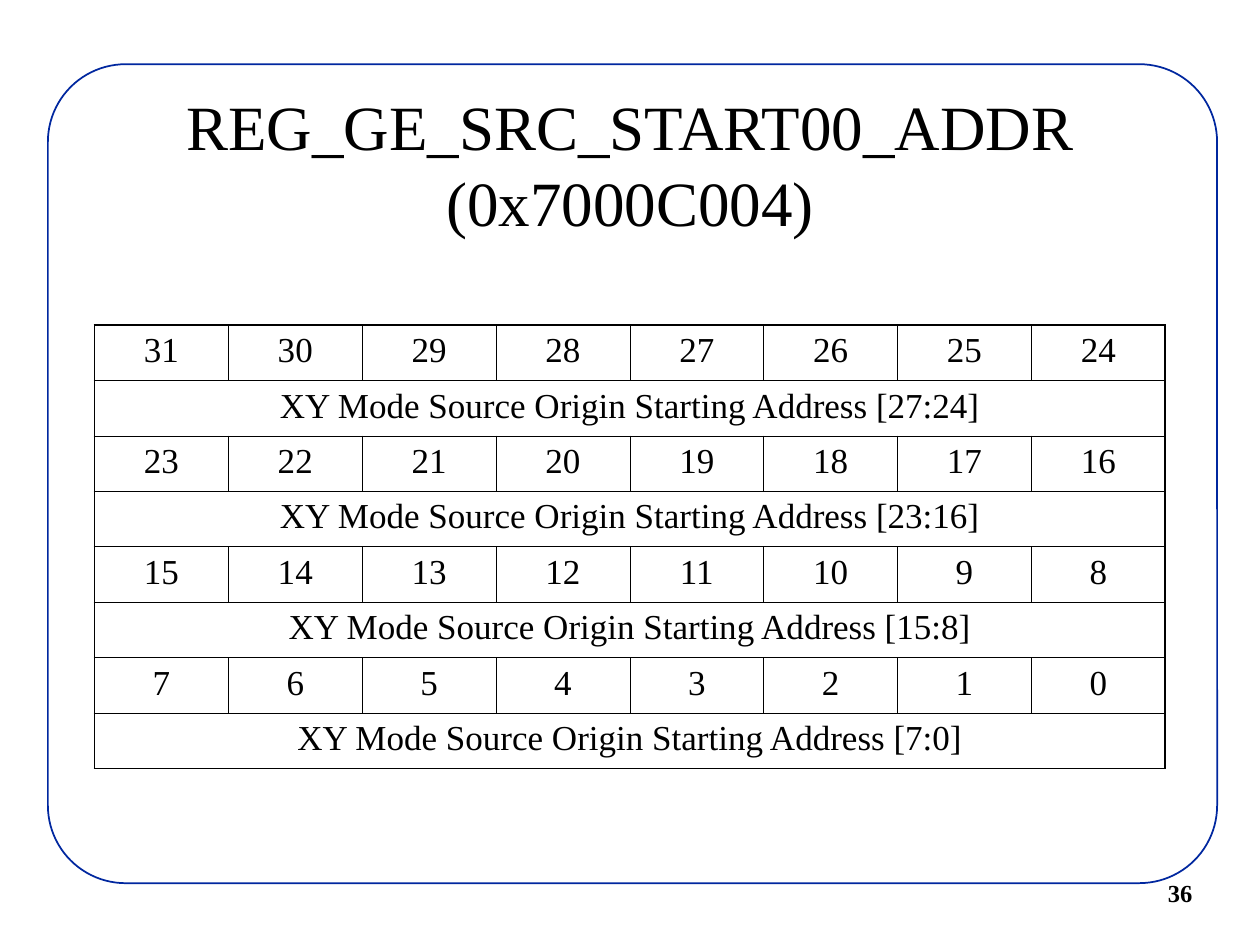
from lxml.etree import SubElement
from pptx import Presentation
from pptx.dml.color import RGBColor
from pptx.enum.shapes import MSO_SHAPE as SHAPE
from pptx.enum.text import MSO_ANCHOR as ANCHOR, PP_ALIGN as ALIGN
from pptx.oxml.ns import qn
from pptx.util import Inches, Pt

WIDTH, HEIGHT = 10, 7.5
COLS, BYTES = 8, 4
ROW_HEIGHT = 0.44
MARGIN = 0.75
INNER, OUTER = 0.45, 1.08
FIELD = "XY Mode Source Origin Starting Address"
RANGES = ["[27:24]", "[23:16]", "[15:8]", "[7:0]"]


def paint(color, value):
    """Set a colour format from a hex string."""
    color.rgb = RGBColor.from_string(value)


def write(tf, text, size=20, bold=False, color="000000", align=ALIGN.CENTER):
    """Put formatted text in the first paragraph of a text frame."""
    p = tf.paragraphs[0]
    p.text = text
    p.alignment = align
    for r in p.runs:
        r.font.name = "Times New Roman"
        r.font.size = Pt(size)
        r.font.bold = bold
        paint(r.font.color, color)


def add_frame(slide):
    """Draw the rounded frame around the slide content."""
    sp = slide.shapes.add_shape(
        SHAPE.ROUNDED_RECTANGLE, Inches(0.38), Inches(0.51), Inches(9.28), Inches(6.5))
    sp.adjustments[0] = 0.095
    sp.shadow.inherit = False
    sp.fill.solid()
    paint(sp.fill.fore_color, "FFFFFF")
    paint(sp.line.color, "00279F")
    sp.line.width = Pt(1)


def add_text(slide, text, left, top, width, height, wrap=True, **style):
    """Add a vertically centred text box."""
    box = slide.shapes.add_textbox(*map(Inches, (left, top, width, height)))
    tf = box.text_frame
    tf.word_wrap = wrap
    tf.vertical_anchor = ANCHOR.MIDDLE
    write(tf, text, **style)


def set_borders(cell, **widths):
    """Give a cell solid black borders with widths in points by side."""
    tc_pr = cell._tc.get_or_add_tcPr()
    for side, width in widths.items():
        ln = SubElement(tc_pr, qn(f"a:ln{side}"), w=str(Pt(width)))
        SubElement(SubElement(ln, qn("a:solidFill")), qn("a:srgbClr"), val="000000")


def fill_cell(cell, text, row, first, last):
    """Write a cell and draw heavier borders on the table's outside."""
    write(cell.text_frame, text)
    set_borders(
        cell,
        L=OUTER if first == 0 else INNER,
        R=OUTER if last == COLS - 1 else INNER,
        T=OUTER if row == 0 else INNER,
        B=OUTER if row == 2 * BYTES - 1 else INNER)
    cell.fill.background()


def add_register_table(slide):
    """Add the bit numbers, each byte followed by its field name."""
    rows = 2 * BYTES
    table = slide.shapes.add_table(
        rows, COLS, Inches(MARGIN), Inches(2.58),
        Inches(WIDTH - 2 * MARGIN), Inches(rows * ROW_HEIGHT)).table
    table.first_row = table.horz_banding = False
    for byte, bits in enumerate(RANGES):
        row = 2 * byte
        for col in range(COLS):
            bit = (BYTES - byte) * COLS - 1 - col
            fill_cell(table.cell(row, col), str(bit), row, col, col)
        field = table.cell(row + 1, 0)
        field.merge(table.cell(row + 1, COLS - 1))
        fill_cell(field, f"{FIELD} {bits}", row + 1, 0, COLS - 1)


def main():
    """Build and save the slide."""
    prs = Presentation()
    prs.slide_width, prs.slide_height = Inches(WIDTH), Inches(HEIGHT)
    s = prs.slides.add_slide(prs.slide_layouts[6])
    add_frame(s)
    add_text(s, "36", 9.17, 6.92, 1.08, 0.33, wrap=False,
             size=14, bold=True, align=ALIGN.LEFT)
    add_text(s, "REG_GE_SRC_START00_ADDR\v(0x7000C004)",
             MARGIN, 0.67, WIDTH - 2 * MARGIN, 1.25, size=36)
    add_register_table(s)
    prs.save("out.pptx")


if __name__ == "__main__":
    main()
